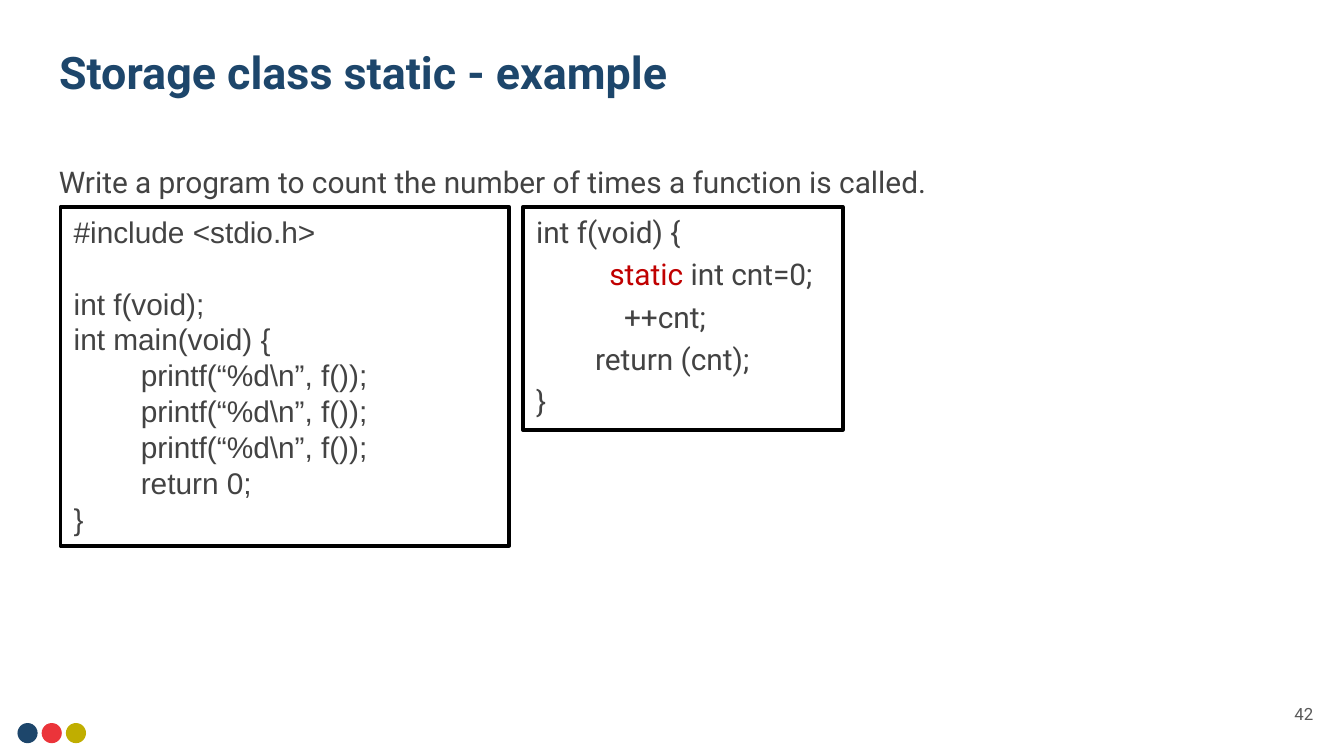
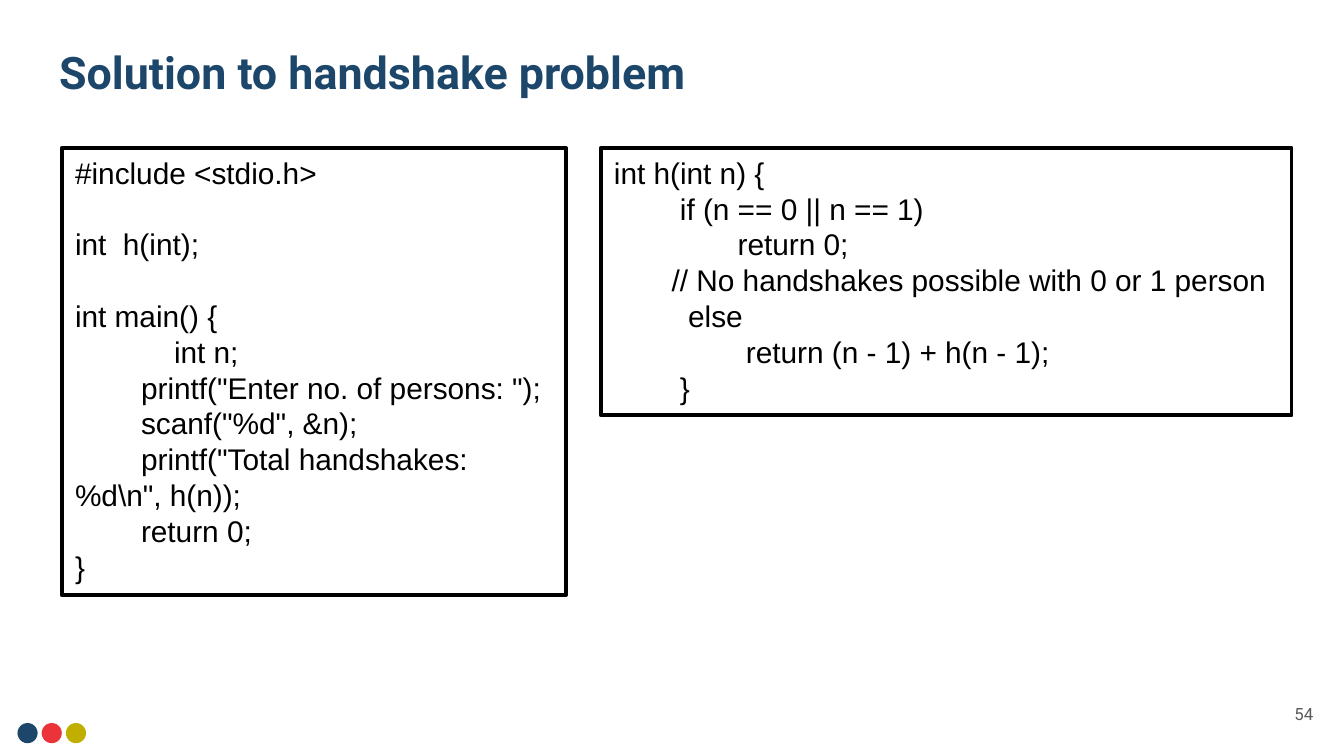
"""Build two slides of C code examples: a static counter and the handshake problem."""
from pptx import Presentation
from pptx.dml.color import RGBColor
from pptx.enum.shapes import MSO_SHAPE
from pptx.enum.text import MSO_ANCHOR, MSO_AUTO_SIZE, PP_ALIGN
from pptx.util import Pt

RECTANGLE, OVAL = MSO_SHAPE.RECTANGLE, MSO_SHAPE.OVAL
TOP, MIDDLE = MSO_ANCHOR.TOP, MSO_ANCHOR.MIDDLE
LEFT, RIGHT = PP_ALIGN.LEFT, PP_ALIGN.RIGHT
NO_AUTOFIT = MSO_AUTO_SIZE.NONE

NAVY = RGBColor(0x1D, 0x46, 0x6B)
RED = RGBColor(0xEB, 0x34, 0x3A)
OLIVE = RGBColor(0xC0, 0xAE, 0x00)
KEYWORD_RED = RGBColor(0xC0, 0x00, 0x00)
DARK_GREY = RGBColor(0x43, 0x43, 0x43)
NUMBER_GREY = RGBColor(0x59, 0x59, 0x59)
BLACK = RGBColor(0x00, 0x00, 0x00)
WHITE = RGBColor(0xFF, 0xFF, 0xFF)

PX = 9144
MARGIN = 10 * PX
HANGING = 38 * PX
CODE_SIZE = 16
CODE_LINE = Pt(19.2)
LOOSE_GAP = Pt(3.5)
KEYWORD = "static "

PRINT_COUNT = "\tprintf(“%d\\n”, f());"
COUNTER_MAIN = [
    "#include <stdio.h>",
    "",
    "int f(void);",
    "int main(void) {",
    *[PRINT_COUNT] * 3,
    "\treturn 0;",
    "}",
]
COUNTER_FUNCTION = [
    "int f(void) {",
    "\t   static int cnt=0;",
    "\t     ++cnt;",
    "        return (cnt);",
    "}",
]
HANDSHAKE_MAIN = [
    "#include <stdio.h>",
    "",
    "int  h(int);",
    "",
    "int main() {",
    "            int n;",
    '        printf("Enter no. of persons: ");',
    '        scanf("%d", &n);',
    '        printf("Total handshakes: %d\\n", h(n));',
    "        return 0;",
    "}",
]
HANDSHAKE_FUNCTION = [
    "int h(int n) {",
    "        if (n == 0 || n == 1)",
    "               return 0;",
    "       // No handshakes possible with 0 or 1 person",
    "         else",
    "                return (n - 1) + h(n - 1);",
    "        }",
]

SLIDES = [
    ("Storage class static - example", "42",
     "Write a program to count the number of times a function is called.",
     [((45, 154, 334, 252), "Arial", DARK_GREY, False, COUNTER_MAIN),
      ((389, 154, 238, 166), "Roboto", DARK_GREY, True, COUNTER_FUNCTION)]),
    ("Solution to handshake problem", "54", None,
     [((46, 110, 375, 333), "Arial", BLACK, False, HANDSHAKE_MAIN),
      ((447, 110, 514, 199), "Arial", BLACK, False, HANDSHAKE_FUNCTION)]),
]


def add_run(paragraph, text, size, font_name, color, bold=False):
    """Append one formatted run to a paragraph."""
    run = paragraph.add_run()
    run.text = text
    run.font.size = Pt(size)
    run.font.name = font_name
    run.font.bold = bold
    run.font.color.rgb = color


def set_frame(shape, anchor, margin_y):
    """Set wrapping, anchor and margins, and return the text frame."""
    frame = shape.text_frame
    frame.word_wrap = True
    frame.auto_size = NO_AUTOFIT
    frame.vertical_anchor = anchor
    frame.margin_left = frame.margin_right = MARGIN
    frame.margin_top = frame.margin_bottom = margin_y
    return frame


presentation = Presentation()
presentation.slide_width = 1000 * PX
presentation.slide_height = Pt(405)
title_only = presentation.slide_layouts[5]

for title, number, task, code_boxes in SLIDES:
    slide = presentation.slides.add_slide(title_only)

    for index, color in enumerate((NAVY, RED, OLIVE)):
        dot = slide.shapes.add_shape(
            OVAL, (13 + 18 * index) * PX, 538 * PX, 15 * PX, 15 * PX)
        dot.shadow.inherit = False
        dot.fill.solid()
        dot.fill.fore_color.rgb = color
        dot.line.fill.background()

    number_box = slide.shapes.add_textbox(927 * PX, 510 * PX, 60 * PX, 43 * PX)
    paragraph = set_frame(number_box, MIDDLE, MARGIN).paragraphs[0]
    paragraph.alignment = RIGHT
    add_run(paragraph, number, 9, "Roboto", NUMBER_GREY)

    heading = slide.shapes.title
    heading.left, heading.top = 34 * PX, 10 * PX
    heading.width, heading.height = 616 * PX, 87 * PX
    paragraph = set_frame(heading, MIDDLE, MARGIN).paragraphs[0]
    paragraph.alignment = LEFT
    add_run(paragraph, title, 24, "Roboto", NAVY, bold=True)

    if task:
        task_box = slide.shapes.add_textbox(34 * PX, 117 * PX, 717 * PX, 37 * PX)
        paragraph = set_frame(task_box, TOP, 5 * PX).paragraphs[0]
        add_run(paragraph, task, CODE_SIZE, "Roboto", DARK_GREY)

    for bounds, font_name, color, loose, lines in code_boxes:
        code_box = slide.shapes.add_shape(RECTANGLE, *[value * PX for value in bounds])
        code_box.shadow.inherit = False
        code_box.fill.solid()
        code_box.fill.fore_color.rgb = WHITE
        code_box.line.color.rgb = BLACK
        code_box.line.width = Pt(2)
        frame = set_frame(code_box, TOP, 5 * PX)

        for index, line in enumerate(lines):
            if not line:
                continue
            paragraph = frame.add_paragraph() if index else frame.paragraphs[0]
            paragraph.alignment = LEFT
            if loose:
                properties = paragraph._p.get_or_add_pPr()
                properties.set("marL", str(HANGING))
                properties.set("indent", str(-HANGING))
            if index and not lines[index - 1]:
                paragraph.space_before = CODE_LINE
            elif index and loose:
                paragraph.space_before = LOOSE_GAP
            before, keyword, after = line.partition(KEYWORD)
            for text, run_color in ((before, color), (keyword, KEYWORD_RED), (after, color)):
                if text:
                    add_run(paragraph, text, CODE_SIZE, font_name, run_color)

presentation.save("out.pptx")
